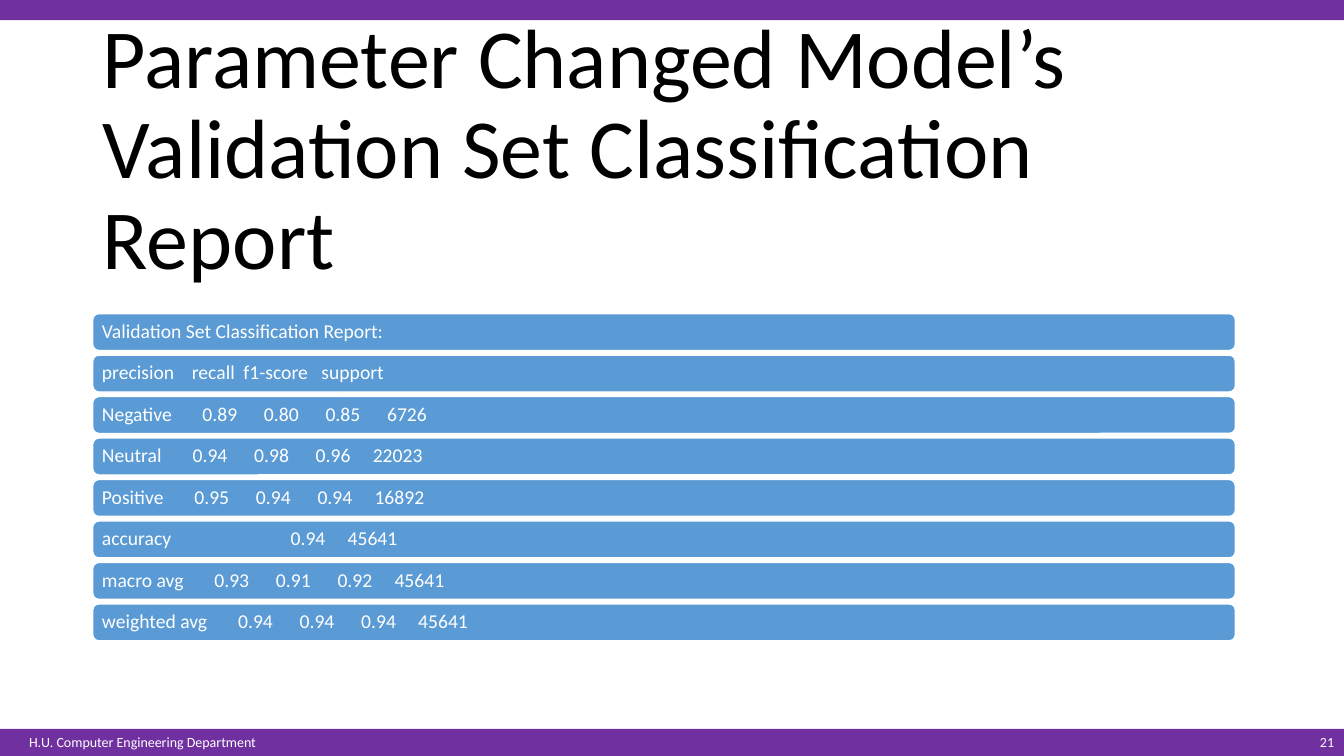
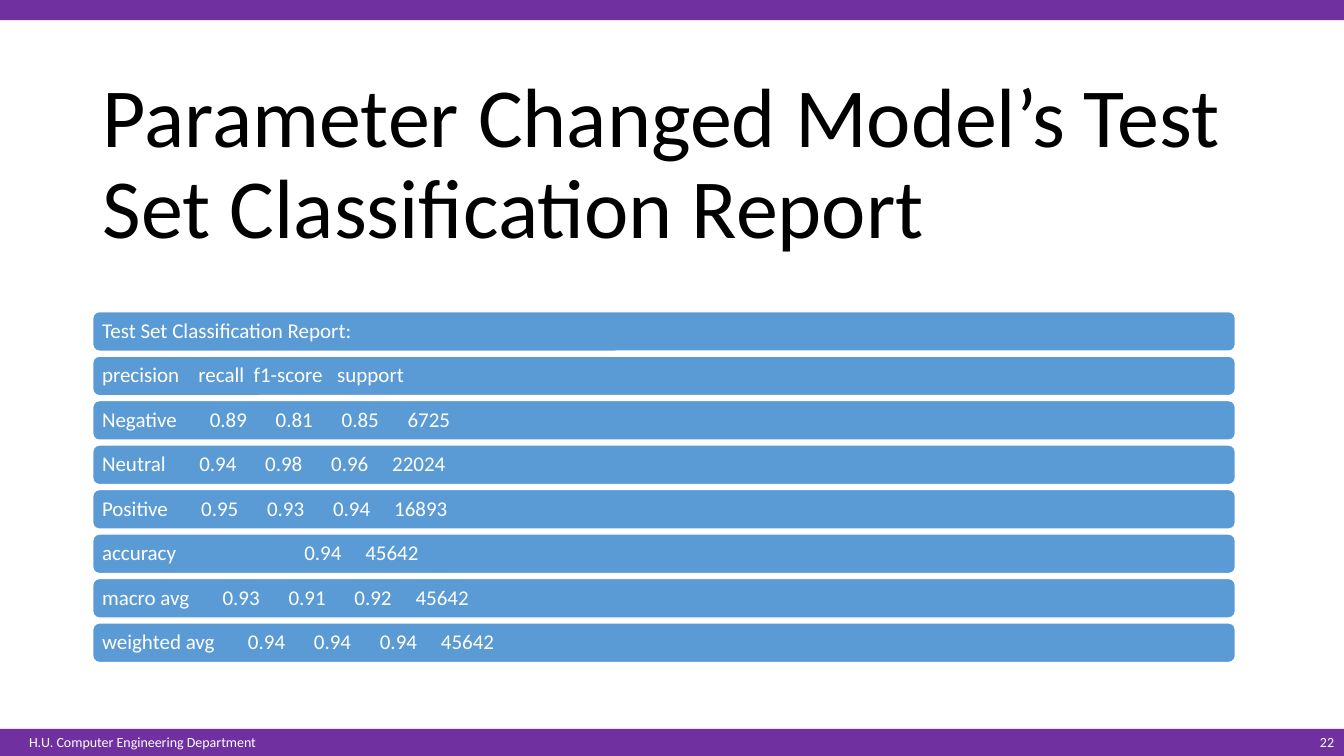
from lxml import etree
from pptx import Presentation
from pptx.dml.color import RGBColor
from pptx.enum.shapes import MSO_SHAPE
from pptx.enum.text import MSO_ANCHOR, MSO_AUTO_SIZE, PP_ALIGN
from pptx.oxml.ns import qn
from pptx.util import Pt

SLIDE_WIDTH, SLIDE_HEIGHT = 960, 540
FOOTER_TOP = 520.6
LEFT = 66.24
COLORS = {"band": "7030A0", "row": "5B9BD5", "light": "FFFFFF", "title": "000000"}
FONT = "Calibri"

# Column starts are measured in ems, so they follow the font size.
SCORE_STEP, SUPPORT_STEP = 3.14, 2.91
HEADER_STOPS = [4.59, 7.22, 11.2]
FIRST_STOPS = {"Negative": 5.13, "Neutral": 4.63, "Positive": 4.72,
               "accuracy": 9.63, "macro avg": 5.74, "weighted avg": 6.95}

REPORTS = [
    {
        "number": 21, "subject": "Validation Set", "title_top": 56.2,
        "top": 224, "height": 26.4, "pitch": 29.62, "size": 14,
        "rows": [
            ["Negative", "0.89", "0.80", "0.85", "6726"],
            ["Neutral", "0.94", "0.98", "0.96", "22023"],
            ["Positive", "0.95", "0.94", "0.94", "16892"],
            ["accuracy", "0.94", "45641"],
            ["macro avg", "0.93", "0.91", "0.92", "45641"],
            ["weighted avg", "0.94", "0.94", "0.94", "45641"],
        ],
    },
    {
        "number": 22, "subject": "Test Set", "title_top": 66.2,
        "top": 222.6, "height": 28.3, "pitch": 31.77, "size": 15,
        "rows": [
            ["Negative", "0.89", "0.81", "0.85", "6725"],
            ["Neutral", "0.94", "0.98", "0.96", "22024"],
            ["Positive", "0.95", "0.93", "0.94", "16893"],
            ["accuracy", "0.94", "45642"],
            ["macro avg", "0.93", "0.91", "0.92", "45642"],
            ["weighted avg", "0.94", "0.94", "0.94", "45642"],
        ],
    },
]


def score_stops(row):
    """Return the start of each value in a score row, in ems."""
    stops = [FIRST_STOPS[row[0]]]
    for value in row[2:]:
        is_long_count = len(value) > 4
        stops.append(stops[-1] + (SUPPORT_STEP if is_long_count else SCORE_STEP))
    return stops


class Deck:
    def __init__(self):
        self.presentation = Presentation()
        self.presentation.slide_width = Pt(SLIDE_WIDTH)
        self.presentation.slide_height = Pt(SLIDE_HEIGHT)
        self.slide = None

    def add_slide(self, number):
        layout = self.presentation.slide_layouts.get_by_name("Title Only")
        self.slide = self.presentation.slides.add_slide(layout)
        self.box(MSO_SHAPE.RECTANGLE, 0, FOOTER_TOP, SLIDE_WIDTH,
                 SLIDE_HEIGHT - FOOTER_TOP, "band")
        self.box(MSO_SHAPE.RECTANGLE, 0, 0, SLIDE_WIDTH, 14.4, "band")
        self.label("H.U. Computer Engineering Department", 13.7, 179.3)
        self.label(str(number), 882.7, 77.3, PP_ALIGN.RIGHT)

    def add_text(self, paragraph, text, size, color="light", align=PP_ALIGN.LEFT):
        paragraph.alignment = align
        run = paragraph.add_run()
        run.text = text
        run.font.name = FONT
        run.font.size = Pt(size)
        run.font.color.rgb = RGBColor.from_string(COLORS[color])

    def title(self, text, top):
        shape = self.slide.shapes.title
        shape.left, shape.top = Pt(LEFT), Pt(top)
        shape.width, shape.height = Pt(828), Pt(104.4)
        frame = shape.text_frame
        frame.auto_size = MSO_AUTO_SIZE.NONE
        frame.vertical_anchor = MSO_ANCHOR.MIDDLE
        paragraph = frame.paragraphs[0]
        paragraph.line_spacing = 0.9
        self.add_text(paragraph, text, 60, "title")

    def label(self, text, left, width, align=PP_ALIGN.LEFT):
        shape = self.slide.shapes.add_textbox(Pt(left), Pt(FOOTER_TOP), Pt(width), Pt(19.4))
        frame = shape.text_frame
        frame.word_wrap = True
        frame.vertical_anchor = MSO_ANCHOR.MIDDLE
        self.add_text(frame.paragraphs[0], text, 10, align=align)

    def box(self, kind, left, top, width, height, fill, line=None):
        shape = self.slide.shapes.add_shape(kind, Pt(left), Pt(top), Pt(width), Pt(height))
        shape.shadow.inherit = False
        shape.fill.solid()
        shape.fill.fore_color.rgb = RGBColor.from_string(COLORS[fill])
        if line:
            shape.line.color.rgb = RGBColor.from_string(COLORS[line])
            shape.line.width = Pt(1)
        else:
            shape.line.fill.background()
        return shape

    def row(self, cells, stops, top, height, size):
        """Draw one rounded bar whose cells start at tab stops given in ems."""
        shape = self.box(MSO_SHAPE.ROUNDED_RECTANGLE, LEFT, top, 816.2, height, "row", "light")
        frame = shape.text_frame
        frame.vertical_anchor = MSO_ANCHOR.MIDDLE
        frame.margin_left = frame.margin_right = Pt(5.3)
        frame.margin_top = frame.margin_bottom = 0
        paragraph = frame.paragraphs[0]
        paragraph.line_spacing = 0.9
        self.add_text(paragraph, "\t".join(cells), size)
        if stops:
            properties = paragraph._p.get_or_add_pPr()
            tab_list = etree.SubElement(properties, qn("a:tabLst"))
            for stop in stops:
                etree.SubElement(tab_list, qn("a:tab"), pos=str(Pt(stop * size)), algn="l")

    def report(self, report):
        heading = f"{report['subject']} Classification Report"
        self.add_slide(report["number"])
        self.title(f"Parameter Changed Model’s {heading}", report["title_top"])
        rows = [([f"{heading}:"], []),
                (["precision", "recall", "f1-score", "support"], HEADER_STOPS)]
        rows += [(cells, score_stops(cells)) for cells in report["rows"]]
        for index, (cells, stops) in enumerate(rows):
            top = report["top"] + index * report["pitch"]
            self.row(cells, stops, top, report["height"], report["size"])


def main():
    deck = Deck()
    for report in REPORTS:
        deck.report(report)
    deck.presentation.save("out.pptx")


if __name__ == "__main__":
    main()
